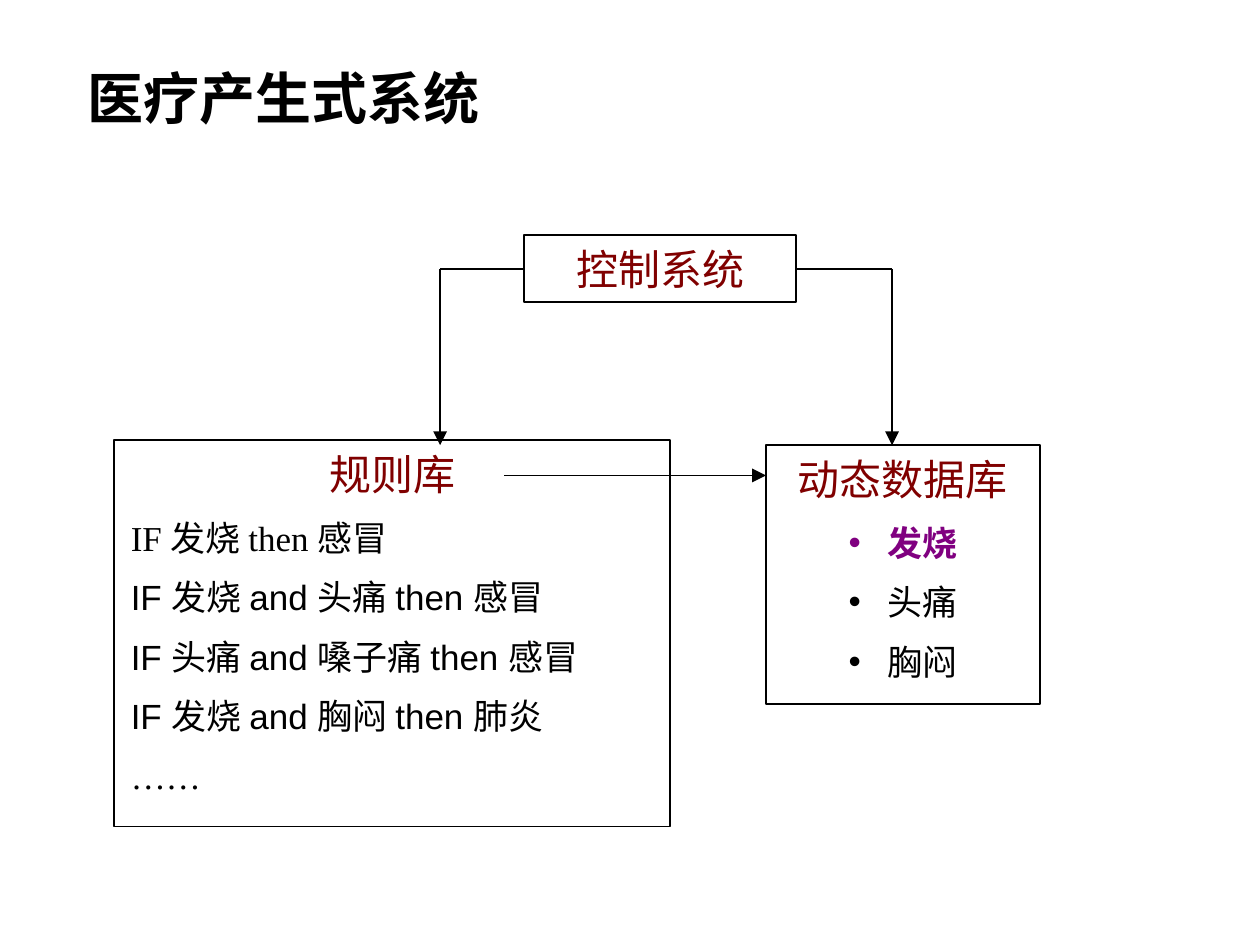
"""Build the slide on a production system for medical rules."""
from pptx import Presentation
from pptx.dml.color import RGBColor as RGB
from pptx.enum.shapes import MSO_CONNECTOR as LINE, MSO_SHAPE as SHAPE
from pptx.enum.text import MSO_ANCHOR as ANCHOR, PP_ALIGN as ALIGN
from pptx.oxml.ns import qn
from pptx.util import Inches, Pt
from lxml.etree import SubElement as Sub


def color(target, code):
    target.rgb = RGB.from_string(code)


def write(para, text, code, **style):
    run = para.add_run()
    run.text = text
    for key, value in style.items():
        setattr(run.font, key, value)
    color(run.font.color, code)


BLACK, RED, PURPLE = "000000", "800000", "800080"
ROMAN, ARIAL = "Times New Roman", "Arial"

deck = Presentation()
deck.slide_width, deck.slide_height = Inches(7.5), Inches(7.5 * 3 / 4)
slide = deck.slides.add_slide(deck.slide_layouts[6])

title = slide.shapes.add_textbox(Inches(0.31), Inches(0.11), Inches(2.75), Inches(0.94))
frame = title.text_frame
frame.word_wrap = True
frame.vertical_anchor = ANCHOR.MIDDLE
frame.paragraphs[0].alignment = ALIGN.CENTER
write(frame.paragraphs[0], "医疗产生式系统", BLACK, name="Calibri", size=Pt(24), bold=True)

boxes = {
    "控制系统": ((3.12, 1.4, 1.62, 0.4), False, []),
    "规则库": ((0.68, 2.62, 3.31, 2.3), False, [
        ("IF 发烧 then 感冒", ROMAN, BLACK),
        ("IF 发烧 and 头痛 then 感冒", ARIAL, BLACK),
        ("IF 头痛 and 嗓子痛 then 感冒", ARIAL, BLACK),
        ("IF 发烧 and 胸闷 then 肺炎", ARIAL, BLACK),
        ("……", ROMAN, BLACK)]),
    "动态数据库": ((4.56, 2.65, 1.63, 1.54), True, [
        ("发烧", ROMAN, PURPLE),
        ("头痛", ROMAN, BLACK),
        ("胸闷", ARIAL, BLACK)]),
}
made = {}
for head, (place, dots, rows) in boxes.items():
    box = slide.shapes.add_shape(SHAPE.RECTANGLE, *map(Inches, place))
    made[head] = box
    box.shadow.inherit = False
    box.fill.background()
    color(box.line.color, BLACK)
    box.line.width = Pt(0.75)
    frame = box.text_frame
    frame.word_wrap = True
    frame.vertical_anchor = ANCHOR.TOP
    frame.paragraphs[0].alignment = ALIGN.CENTER
    write(frame.paragraphs[0], head, RED, name=ROMAN, size=Pt(18))
    for text, face, code in rows:
        para = frame.add_paragraph()
        para.alignment = ALIGN.CENTER if dots else ALIGN.LEFT
        para.space_before = Pt(7.5)
        if dots:
            props = para._p.get_or_add_pPr()
            props.set("marL", str(Inches(0.23)))
            props.set("indent", str(-Inches(0.23)))
            Sub(props, qn("a:buFont"), typeface=ARIAL)
            Sub(props, qn("a:buChar"), char="•")
        write(para, text, code, name=face, size=Pt(15), bold=code == PURPLE)

lines = [
    ((3.12, 1.6, 2.62, 1.6), False, 1),
    ((2.62, 1.6, 2.62, 2.65), True, None),
    ((3, 2.83, 4.56, 2.83), True, None),
    ((4.74, 1.6, 5.31, 1.6), False, 3),
    ((5.31, 1.6, 5.31, 2.65), True, None),
]
for ends, arrow, side in lines:
    line = slide.shapes.add_connector(LINE.STRAIGHT, *map(Inches, ends))
    color(line.line.color, BLACK)
    line.line.width = Pt(0.75)
    props = line._element.spPr
    if arrow:
        Sub(props.find(qn("a:ln")), qn("a:tailEnd"), type="triangle")
    Sub(props, qn("a:effectLst"))
    if side is not None:
        line.begin_connect(made["控制系统"], side)

deck.save("out.pptx")
